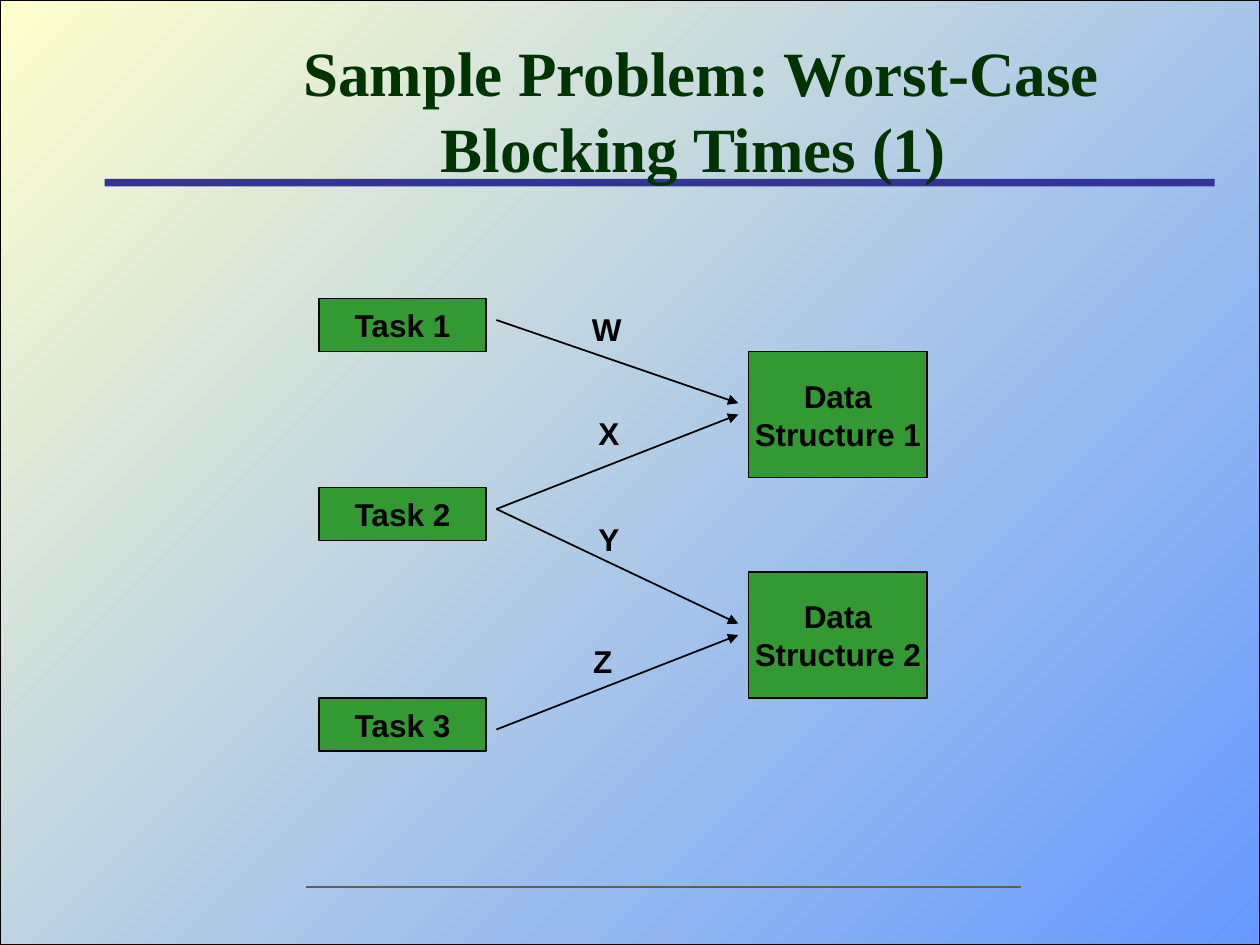
from dataclasses import dataclass

import pptx
import pptx.dml.color
import pptx.enum.shapes
import pptx.enum.text
import pptx.oxml.ns
import pptx.shapes.autoshape
import pptx.shapes.connector
import pptx.slide
import pptx.text.text
import pptx.util
from lxml import etree
from pptx.dml.color import RGBColor
from pptx.util import Inches

BLACK = RGBColor(0x00, 0x00, 0x00)
GREEN = RGBColor(0x33, 0x99, 0x33)
TITLE_GREEN = RGBColor(0x00, 0x33, 0x00)
CREAM = RGBColor(0xFF, 0xFF, 0xCC)
SKY_BLUE = RGBColor(0x66, 0x99, 0xFF)
NAVY = RGBColor(0x33, 0x33, 0x99)
GRAY = RGBColor(0x5F, 0x5F, 0x5F)

RECTANGLE = pptx.enum.shapes.MSO_SHAPE.RECTANGLE
CENTER = pptx.enum.text.PP_ALIGN.CENTER
MIDDLE = pptx.enum.text.MSO_ANCHOR.MIDDLE
TASK_LEFT, TASK_WIDTH, TASK_HEIGHT = 2.53, 1.33, 0.42
STRUCTURE_LEFT, STRUCTURE_WIDTH, STRUCTURE_HEIGHT = 5.94, 1.42, 1
ARROW_START, ARROW_END = 3.94, 5.86


@dataclass(frozen=True)
class Box:
    lines: tuple[str, ...]
    left: float
    top: float
    width: float
    height: float


@dataclass(frozen=True)
class Access:
    label: str
    label_left: float
    label_top: float
    label_width: float
    start_y: float
    end_y: float


BOXES = [
    Box(("Data", f"Structure {number}"), STRUCTURE_LEFT, top, STRUCTURE_WIDTH, STRUCTURE_HEIGHT)
    for number, top in enumerate((2.79, 4.54), 1)
] + [
    Box((f"Task {number}",), TASK_LEFT, top, TASK_WIDTH, TASK_HEIGHT)
    for number, top in enumerate((2.37, 3.87, 5.54), 1)
]

ACCESSES = [
    Access("W", 4.6, 2.41, 0.43, 2.54, 3.2),
    Access("X", 4.65, 3.24, 0.36, 4.04, 3.29),
    Access("Y", 4.65, 4.08, 0.36, 4.04, 4.95),
    Access("Z", 4.61, 5.05, 0.35, 5.79, 5.04),
]


def add_text(
    paragraph: pptx.text.text._Paragraph,
    text: str,
    size: int = 18,
    font_name: str = "Arial",
    color: RGBColor = BLACK,
) -> None:
    run = paragraph.add_run()
    run.text = text
    run.font.name = font_name
    run.font.size = pptx.util.Pt(size)
    run.font.bold = True
    run.font.color.rgb = color


def add_rectangle(
    slide: pptx.slide.Slide, left: float, top: float, width: float, height: float
) -> pptx.shapes.autoshape.Shape:
    shape = slide.shapes.add_shape(
        RECTANGLE, Inches(left), Inches(top), Inches(width), Inches(height)
    )
    shape.shadow.inherit = False
    return shape


def set_outline(shape: pptx.shapes.autoshape.Shape, width: float) -> None:
    shape.line.color.rgb = BLACK
    shape.line.width = pptx.util.Pt(width)


def add_line(
    slide: pptx.slide.Slide,
    start: tuple[float, float],
    end: tuple[float, float],
    color: RGBColor,
    width: float,
) -> pptx.shapes.connector.Connector:
    connector = slide.shapes.add_connector(
        pptx.enum.shapes.MSO_CONNECTOR.STRAIGHT,
        *(Inches(value) for value in (*start, *end)),
    )
    connector.line.color.rgb = color
    connector.line.width = pptx.util.Pt(width)
    etree.SubElement(connector._element.spPr, pptx.oxml.ns.qn("a:effectLst"))
    return connector


def add_background(slide: pptx.slide.Slide) -> None:
    slide.background.fill.solid()
    slide.background.fill.fore_color.rgb = CREAM
    backdrop = add_rectangle(slide, 0, 0, 10, 7.5)
    backdrop.fill.gradient()
    backdrop.fill.gradient_angle = 135
    for stop, color in zip(backdrop.fill.gradient_stops, (SKY_BLUE, CREAM)):
        stop.color.rgb = color
    set_outline(backdrop, 0.75)
    title_rule = add_rectangle(slide, 0.83, 1.42, 8.81, 0.06)
    title_rule.fill.solid()
    title_rule.fill.fore_color.rgb = NAVY
    title_rule.line.fill.background()
    add_line(slide, (2.43, 7.04), (8.1, 7.04), GRAY, 1.5)


def add_title(slide: pptx.slide.Slide) -> None:
    title = slide.shapes.title
    title.left, title.top = Inches(1.46), Inches(0.33)
    title.width, title.height = Inches(8.21), Inches(1.08)
    frame = title.text_frame
    frame.word_wrap = True
    frame.auto_size = pptx.enum.text.MSO_AUTO_SIZE.NONE
    frame.vertical_anchor = MIDDLE
    paragraph = frame.paragraphs[0]
    paragraph.alignment = CENTER
    add_text(
        paragraph,
        "Sample Problem: Worst-Case Blocking Times (1) ",
        36,
        "Times New Roman",
        TITLE_GREEN,
    )
    slide.shapes._spTree.append(title._element)


def add_box(slide: pptx.slide.Slide, box: Box) -> None:
    shape = add_rectangle(slide, box.left, box.top, box.width, box.height)
    shape.fill.solid()
    shape.fill.fore_color.rgb = GREEN
    set_outline(shape, 1)
    frame = shape.text_frame
    frame.word_wrap = False
    frame.vertical_anchor = MIDDLE
    for index, line in enumerate(box.lines):
        paragraph = frame.add_paragraph() if index else frame.paragraphs[0]
        paragraph.alignment = CENTER
        add_text(paragraph, line)


def add_arrow(slide: pptx.slide.Slide, access: Access) -> None:
    connector = add_line(
        slide, (ARROW_START, access.start_y), (ARROW_END, access.end_y), BLACK, 1
    )
    etree.SubElement(
        connector.line._get_or_add_ln(), pptx.oxml.ns.qn("a:tailEnd"), type="triangle"
    )


def add_label(slide: pptx.slide.Slide, access: Access) -> None:
    label = slide.shapes.add_textbox(
        Inches(access.label_left),
        Inches(access.label_top),
        Inches(access.label_width),
        Inches(0.4),
    )
    label.text_frame.word_wrap = False
    label.text_frame.auto_size = pptx.enum.text.MSO_AUTO_SIZE.SHAPE_TO_FIT_TEXT
    add_text(label.text_frame.paragraphs[0], access.label)


def main() -> None:
    presentation = pptx.Presentation()
    presentation.slide_width, presentation.slide_height = Inches(10), Inches(7.5)
    slide = presentation.slides.add_slide(presentation.slide_layouts[5])
    add_background(slide)
    add_title(slide)
    for box in BOXES:
        add_box(slide, box)
    for access in ACCESSES:
        add_arrow(slide, access)
    for access in ACCESSES:
        add_label(slide, access)
    presentation.save("out.pptx")


if __name__ == "__main__":
    main()
